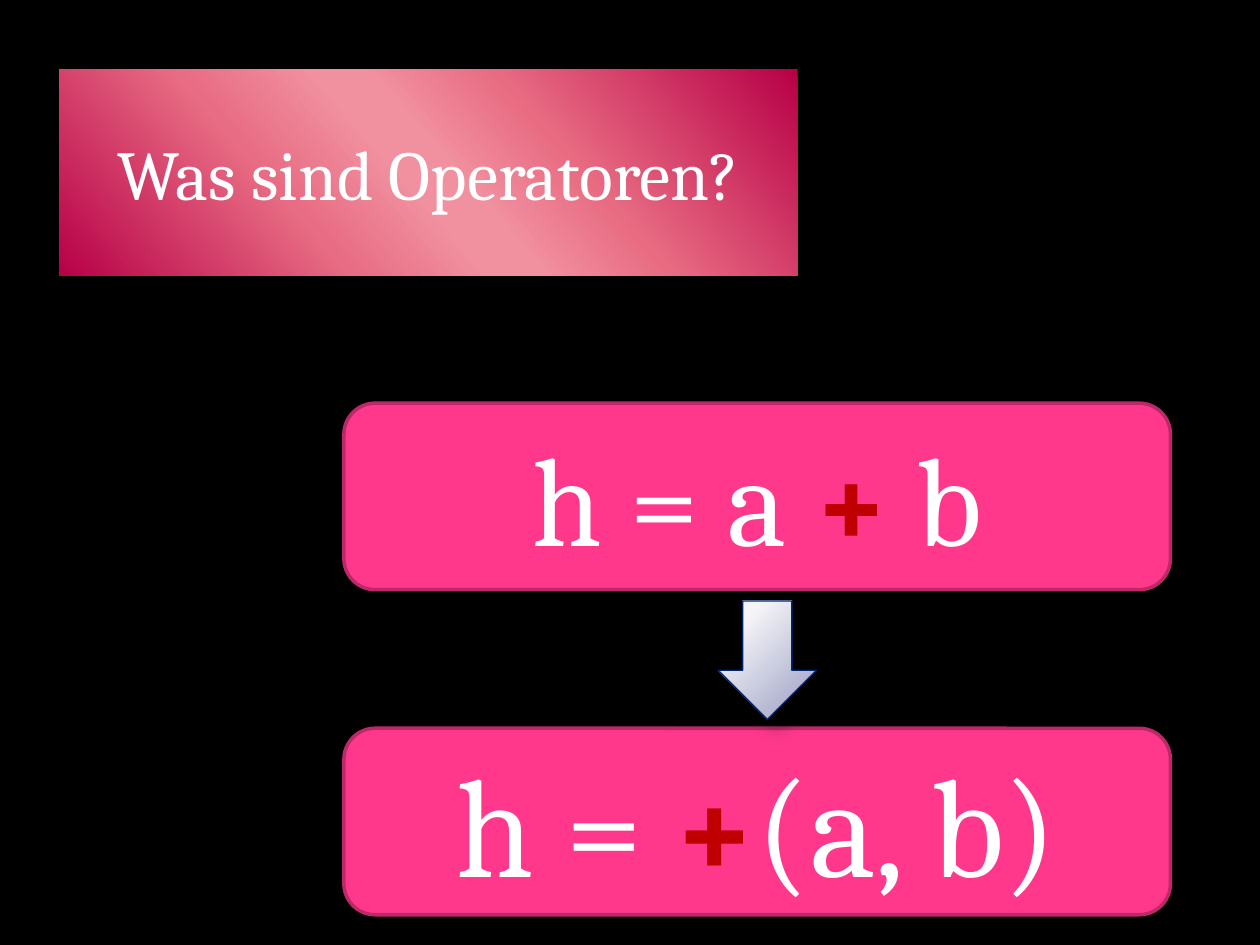
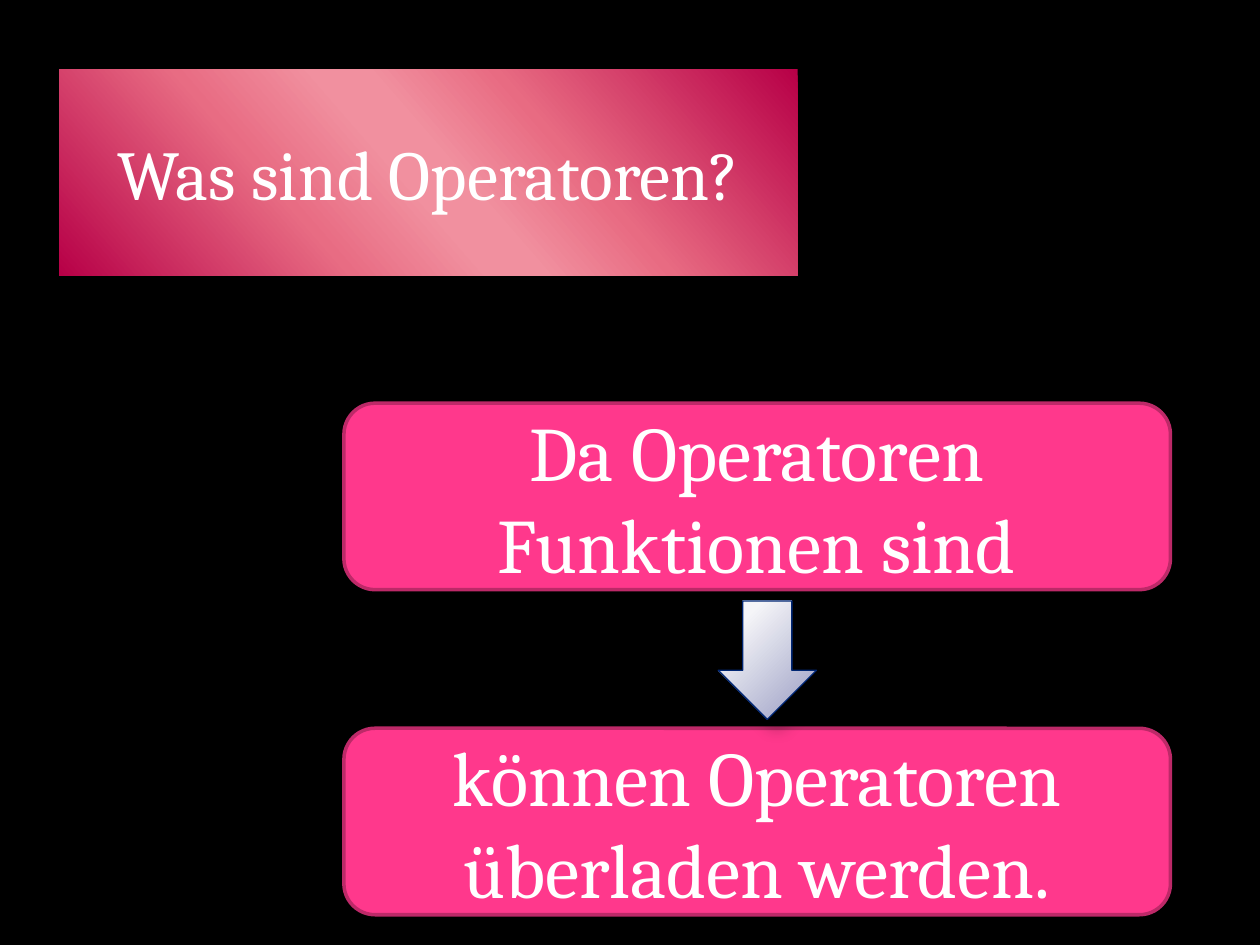
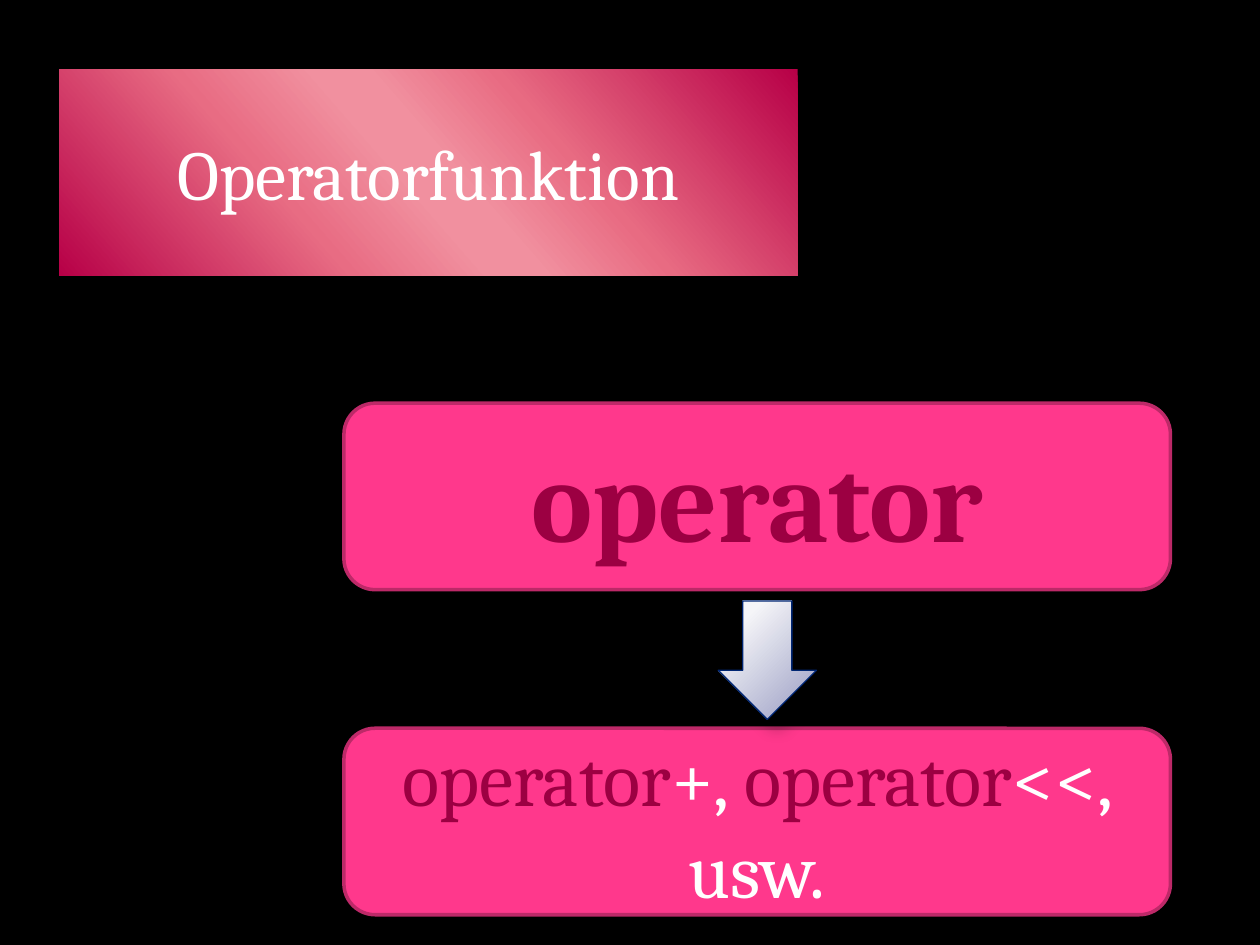
"""Build three slides that explain operators and operator functions."""
from dataclasses import dataclass
from typing import NamedTuple

from lxml import etree
from pptx import Presentation, util as u
from pptx.dml.color import RGBColor
from pptx.enum import shapes, text

COLORS = {
    "back": "000000", "white": "FFFFFF", "box": "FF388C", "edge": "BD2968",
    "red": "C00000", "wine": "9C0042", "crimson": "B70047", "rose": "E86B82",
    "blush": "F1909F", "coral": "E86C83", "mist": "F5F5F8", "lilac": "979BC2",
    "navy": "002673",
}
FONT = "Cambria"
COLUMNS, ROWS = 100, 75
NS = "http://schemas.openxmlformats.org/drawingml/2006/main"


class Area(NamedTuple):
    """A place on the grid, in columns and rows."""
    col: float
    row: float
    cols: float
    rows: float


class Run(NamedTuple):
    """A piece of text in one style."""
    text: str
    color: str = "white"
    bold: bool = False


class Shadow(NamedTuple):
    """Opacity in percent, blur and distance in points."""
    opacity: int
    blur: float
    distance: float


@dataclass
class Statement:
    """The text of one pink box."""
    size: int
    runs: list[Run]


@dataclass
class Page:
    """A title and two statements joined by an arrow."""
    title: str
    first: Statement
    second: Statement


TITLE = Area(4.7, 5.5, 58.6, 16.4)
FIRST = Area(27.3, 32, 65.6, 14.8)
SECOND = FIRST._replace(row=57.8)
ARROW = Area(57, 47.7, 7.8, 9.4)

TITLE_STOPS = [(0, "crimson"), (33, "rose"), (47, "blush"),
               (53, "blush"), (68, "coral"), (100, "crimson")]
ARROW_STOPS = [(20, "mist"), (100, "lilac")]
TITLE_SHADE = '<a:lin ang="8340000" scaled="0"/>'
ARROW_SHADE = ('<a:path path="circle"><a:fillToRect l="-15000" t="-15000" '
               'r="115000" b="115000"/></a:path>')

PAGES = [
    Page("Was sind Operatoren?",
         Statement(72, [Run("h = a "), Run("+", "red", True), Run(" b")]),
         Statement(80, [Run("h = "), Run("+", "red", True), Run("(a, b)")])),
    Page("Was sind Operatoren?",
         Statement(44, [Run("Da Operatoren Funktionen sind")]),
         Statement(44, [Run("können Operatoren überladen werden.")])),
    Page("Operatorfunktion",
         Statement(66, [Run("operator", "wine", True)]),
         Statement(44, [Run("operator", "wine"), Run("+, "),
                        Run("operator", "wine"), Run("<<, usw.")])),
]


def rgb(name: str) -> RGBColor:
    """Look up a colour by name."""
    return RGBColor.from_string(COLORS[name])


def place(prs, area: Area) -> tuple[int, int, int, int]:
    """Turn a grid area into slide lengths."""
    w, h = prs.slide_width / COLUMNS, prs.slide_height / ROWS
    return (round(area.col * w), round(area.row * h),
            round(area.cols * w), round(area.rows * h))


def append(sp, tag: str, inner: str, attrs: str = "") -> None:
    """Append a drawing element to the properties of a shape."""
    xml = f'<a:{tag} xmlns:a="{NS}" {attrs}>{inner}</a:{tag}>'
    sp._element.spPr.append(etree.fromstring(xml))


def add_gradient(sp, stops: list[tuple[int, str]], shade: str) -> None:
    """Fill a shape with a gradient."""
    marks = "".join(f'<a:gs pos="{pos * 1000}"><a:srgbClr val="{COLORS[name]}"/></a:gs>'
                    for pos, name in stops)
    append(sp, "gradFill", f"<a:gsLst>{marks}</a:gsLst>{shade}", 'rotWithShape="1"')


def add_shadow(sp, shadow: Shadow) -> None:
    """Cast a black shadow to the lower right."""
    append(sp, "effectLst",
           f'<a:outerShdw blurRad="{u.Pt(shadow.blur)}" dist="{u.Pt(shadow.distance)}" '
           f'dir="2700000" algn="tl" rotWithShape="0"><a:srgbClr val="{COLORS["back"]}">'
           f'<a:alpha val="{shadow.opacity * 1000}"/></a:srgbClr></a:outerShdw>')


def set_line(sp, color: str, width: float) -> None:
    """Draw the outline of a shape."""
    sp.line.color.rgb = rgb(color)
    sp.line.width = u.Pt(width)


def write(sp, size: int, runs: list[Run]) -> None:
    """Write one centred paragraph of styled runs."""
    tf = sp.text_frame
    tf.word_wrap = True
    tf.auto_size = text.MSO_AUTO_SIZE.NONE
    tf.vertical_anchor = text.MSO_ANCHOR.MIDDLE
    p = tf.paragraphs[0]
    p.alignment = text.PP_ALIGN.CENTER
    for run in runs:
        r = p.add_run()
        r.text = run.text
        r.font.name, r.font.size, r.font.bold = FONT, u.Pt(size), run.bold
        r.font.color.rgb = rgb(run.color)


def add_title(prs, s, title: str) -> None:
    """Shape the title placeholder as a shaded rounded band."""
    sp = s.shapes.title
    sp.left, sp.top, sp.width, sp.height = place(prs, TITLE)
    append(sp, "prstGeom", "<a:avLst/>", 'prst="roundRect"')
    add_gradient(sp, TITLE_STOPS, TITLE_SHADE)
    add_shadow(sp, Shadow(26, 15, 18))
    write(sp, 40, [Run(title)])


def add_statement(prs, s, area: Area, statement: Statement) -> None:
    """Add a pink box with its text."""
    sp = s.shapes.add_shape(shapes.MSO_SHAPE.ROUNDED_RECTANGLE, *place(prs, area))
    sp.shadow.inherit = False
    sp.fill.solid()
    sp.fill.fore_color.rgb = rgb("box")
    set_line(sp, "edge", 2)
    write(sp, statement.size, statement.runs)


def add_arrow(prs, s) -> None:
    """Add the arrow between the boxes."""
    sp = s.shapes.add_shape(shapes.MSO_SHAPE.DOWN_ARROW, *place(prs, ARROW))
    add_gradient(sp, ARROW_STOPS, ARROW_SHADE)
    set_line(sp, "navy", 0.75)
    add_shadow(sp, Shadow(35, 10.2, 8))


def add_page(prs, page: Page) -> None:
    """Add one slide."""
    s = prs.slides.add_slide(prs.slide_layouts.get_by_name("Title Only"))
    add_title(prs, s, page.title)
    add_statement(prs, s, FIRST, page.first)
    add_statement(prs, s, SECOND, page.second)
    add_arrow(prs, s)


def main() -> None:
    """Build and save the presentation."""
    prs = Presentation()
    prs.slide_width, prs.slide_height = u.Inches(10), u.Inches(7.5)
    fill = prs.slide_master.background.fill
    fill.solid()
    fill.fore_color.rgb = rgb("back")
    for page in PAGES:
        add_page(prs, page)
    prs.save("out.pptx")


main()
